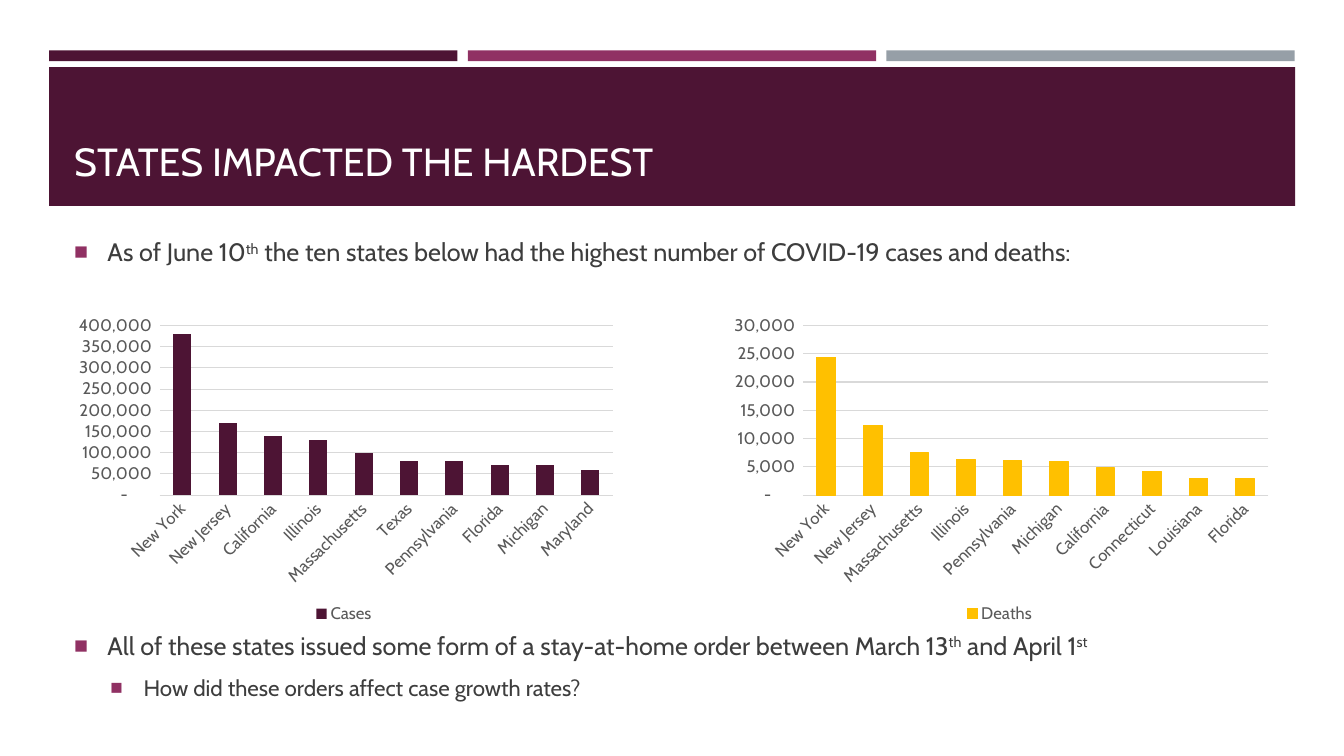
from pptx import Presentation
from pptx.chart.data import CategoryChartData
from pptx.dml.color import RGBColor
from pptx.enum.chart import XL_CHART_TYPE, XL_LEGEND_POSITION, XL_TICK_MARK
from pptx.enum.shapes import MSO_SHAPE
from pptx.enum.text import MSO_ANCHOR
from pptx.oxml import parse_xml
from pptx.oxml.ns import nsdecls
from pptx.util import Cm, Pt

PLUM = RGBColor(0x4D, 0x14, 0x34)
BERRY = RGBColor(0x90, 0x31, 0x63)
SLATE = RGBColor(0x96, 0x9F, 0xA7)
GOLD = RGBColor(0xFF, 0xC0, 0x00)
WHITE = RGBColor(0xFF, 0xFF, 0xFF)
INK = RGBColor(0x3D, 0x3D, 0x3D)
GREY = RGBColor(0x59, 0x59, 0x59)
PALE = RGBColor(0xD9, 0xD9, 0xD9)
FACE = "Cabin"
FORMAT = '_(* #,##0_);_(* \\(#,##0\\);_(* "-"??_);_(@_)'

CASES = {
    "New York": 380000, "New Jersey": 170000, "California": 140000,
    "Illinois": 130000, "Massachusetts": 100000, "Texas": 80000,
    "Pennsylvania": 80000, "Florida": 70000, "Michigan": 70000,
    "Maryland": 60000,
}
DEATHS = {
    "New York": 24400, "New Jersey": 12400, "Massachusetts": 7500,
    "Illinois": 6300, "Pennsylvania": 6100, "Michigan": 6000,
    "California": 4800, "Connecticut": 4100, "Louisiana": 3000,
    "Florida": 2900,
}
POINTS = [
    (["As of June 10", "th", " the ten states below had the highest number "
      "of COVID-19 cases and deaths:"], 18, 0.84, 0),
    (["All of these states issued some form of a stay-at-home order between "
      "March 13", "th", " and April 1", "st"], 18, 0.84, 253.4),
    (["How did these orders affect case growth rates?"], 16, 1.75, 3.6),
]


def style(font, size, color):
    """Set the face, size and colour of a font."""
    font.name, font.size = FACE, Pt(size)
    font.color.rgb = color


def add_bar(slide, left, top, width, height, color):
    """Add a plain filled rectangle."""
    bar = slide.shapes.add_shape(
        MSO_SHAPE.RECTANGLE, Cm(left), Cm(top), Cm(width), Cm(height))
    bar.shadow.inherit = False
    bar.fill.solid()
    bar.fill.fore_color.rgb = color
    bar.line.fill.background()


def add_box(slide, top, height, anchor):
    """Add a wrapping text box over the content width."""
    box = slide.shapes.add_textbox(Cm(1.62), Cm(top), Cm(30.63), Cm(height))
    frame = box.text_frame
    frame.word_wrap = True
    frame.vertical_anchor = anchor
    return frame


def add_title(slide, text):
    """Add the heading on the dark band."""
    para = add_box(slide, 2.03, 2.74, MSO_ANCHOR.BOTTOM).paragraphs[0]
    para.text = text
    style(para.font, 28, WHITE)


def add_bullet(para, indent):
    """Give a paragraph a square bullet and a hanging indent."""
    props = para._p.get_or_add_pPr()
    props.set("marL", str(Cm(indent)))
    props.set("indent", str(-Cm(0.84)))
    marks = (f'<a:buClr {{}}><a:srgbClr val="{BERRY}"/></a:buClr>',
             '<a:buSzPct {} val="92000"/>',
             '<a:buFont {} typeface="Arial"/>',
             '<a:buChar {} char="■"/>')
    for mark in marks:
        node = parse_xml(mark.format(nsdecls("a")))
        props.insert_element_before(node, "a:tabLst", "a:defRPr", "a:extLst")


def add_points(slide):
    """Add the bullet points above and below the charts."""
    frame = add_box(slide, 5.38, 12.86, MSO_ANCHOR.MIDDLE)
    for rank, (parts, size, indent, gap) in enumerate(POINTS):
        para = frame.add_paragraph() if rank else frame.paragraphs[0]
        para.space_before, para.space_after = Pt(gap), Pt(6)
        style(para.font, size, INK)
        add_bullet(para, indent)
        for part in parts:
            run = para.add_run()
            run.text = part
            if part in ("th", "st"):
                run._r.get_or_add_rPr().set("baseline", "30000")


def add_chart(slide, left, name, counts, color, top, step):
    """Add a column chart of counts by state."""
    data = CategoryChartData(number_format=FORMAT)
    data.categories = list(counts)
    data.add_series(name, list(counts.values()))
    chart = slide.shapes.add_chart(
        XL_CHART_TYPE.COLUMN_CLUSTERED, Cm(left), Cm(7.79), Cm(14.12),
        Cm(8.03), data).chart
    style(chart.font, 12, GREY)
    chart.has_title = False
    chart.has_legend = True
    chart.legend.position = XL_LEGEND_POSITION.BOTTOM
    chart.legend.include_in_layout = False
    style(chart.legend.font, 12, GREY)

    plot = chart.plots[0]
    plot.gap_width, plot.vary_by_categories = 150, False
    fill = plot.series[0].format.fill
    fill.solid()
    fill.fore_color.rgb = color

    states, values = chart.category_axis, chart.value_axis
    for axis in (states, values):
        axis.major_tick_mark = axis.minor_tick_mark = XL_TICK_MARK.NONE
        style(axis.tick_labels.font, 12, GREY)
    states.tick_labels.font._element.getparent().getparent().getparent().find(
        "{*}bodyPr").set("rot", "-2700000")
    values.minimum_scale, values.maximum_scale = 0, top
    values.major_unit = step
    values.tick_labels.number_format = FORMAT
    values.tick_labels.number_format_is_linked = False
    values.format.line.fill.background()
    values.has_major_gridlines = True
    for line in (states.format.line, values.major_gridlines.format.line):
        line.color.rgb, line.width = PALE, Pt(0.75)
    return chart


def add_edge(chart, color):
    """Outline the columns of a chart."""
    line = chart.plots[0].series[0].format.line
    line.color.rgb, line.width = color, Pt(0.75)


def main():
    """Build the slide and save it."""
    deck = Presentation()
    deck.slide_width, deck.slide_height = Cm(33.87), Cm(19.05)
    slide = deck.slides.add_slide(deck.slide_layouts[6])
    for rank, color in enumerate((PLUM, BERRY, SLATE)):
        add_bar(slide, 1.24 + rank * 10.55, 1.27, 10.29, 0.27, color)
    add_bar(slide, 1.24, 1.69, 31.4, 3.5, PLUM)
    add_title(slide, "STATES IMPACTED THE HARDEST")
    add_chart(slide, 1.61, "Cases", CASES, PLUM, 400000, 50000)
    add_points(slide)
    deaths = add_chart(slide, 18.13, "Deaths", DEATHS, GOLD, 30000, 5000)
    add_edge(deaths, GOLD)
    deck.save("out.pptx")


main()
